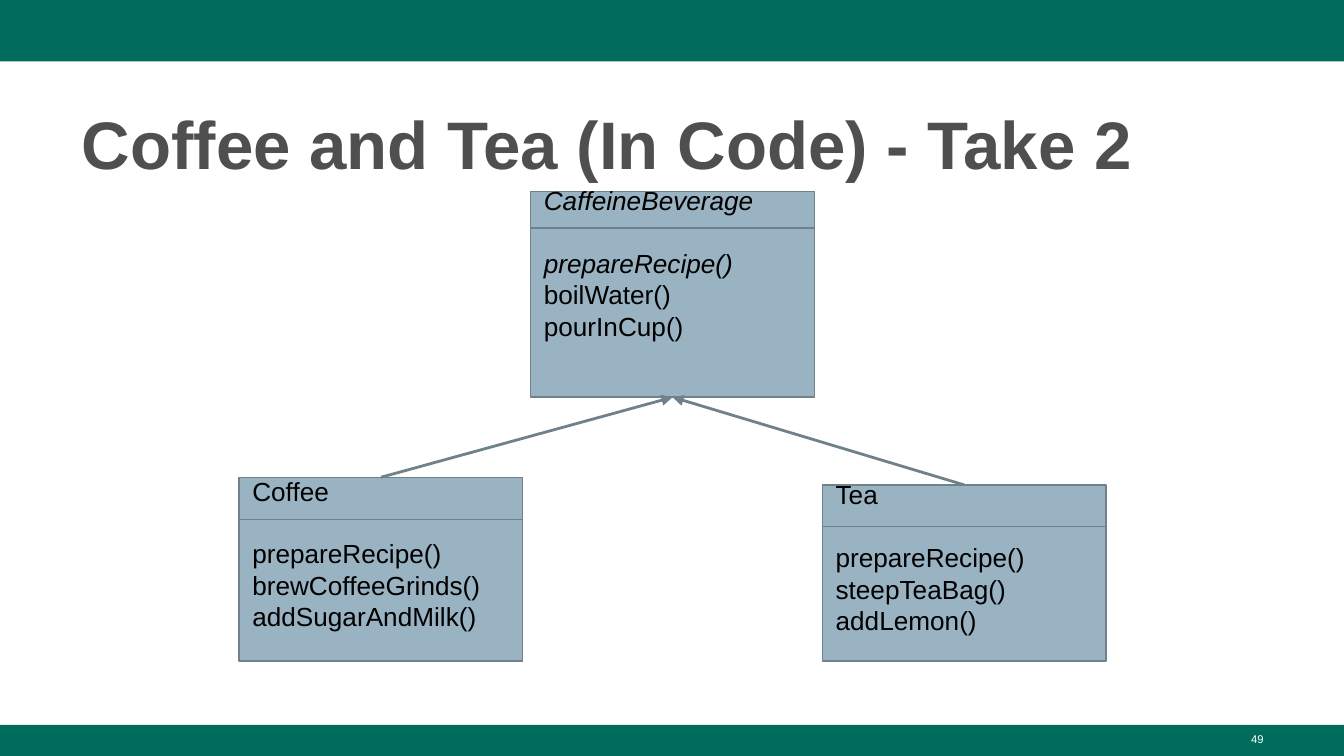
from pptx import Presentation
from pptx.util import Pt
from pptx.dml.color import RGBColor
from pptx.enum import shapes as sh, text as tx
from pptx.oxml.ns import qn
from lxml import etree

TITLE = "Coffee and Tea (In Code) - Take 2"
PAGE = "49"
GREEN, BLUE, EDGE = "006C5C", "99B3C2", "6F828C"
BARS = [(0, 33), (388.4, 16.6)]
WIDE, LINE = 152, 16.87
BASE = dict(name="CaffeineBeverage", left=284.3, top=102.6, high=110.2,
            split=19.5, tail=2, slant=2,
            calls=["prepareRecipe()", "boilWater()", "pourInCup()"])
KIDS = [
    dict(name="Coffee", left=128.1, top=255.7, high=98.4,
         split=22.5, tail=1, slant=0,
         calls=["prepareRecipe()", "brewCoffeeGrinds()", "addSugarAndMilk()"]),
    dict(name="Tea", left=440.6, top=259.8, high=94.3,
         split=22.3, tail=1, slant=0,
         calls=["prepareRecipe()", "steepTeaBag()", "addLemon()"]),
]


def hue(code):
    return RGBColor.from_string(code)


def style(para, size, color, bold=False, slant=False):
    for run in para.runs:
        font = run.font
        font.name, font.size = "Arial", Pt(size)
        font.bold, font.italic = bold, slant
        font.color.rgb = hue(color)


def rect(left, top, wide, high, fill, edge=None):
    box = slide.shapes.add_shape(sh.MSO_SHAPE.RECTANGLE,
                                 Pt(left), Pt(top), Pt(wide), Pt(high))
    box.shadow.inherit = False
    box.fill.solid()
    box.fill.fore_color.rgb = hue(fill)
    if edge:
        box.line.color.rgb = hue(edge)
        box.line.width = Pt(0.75)
    else:
        box.line.fill.background()
    return box


def rule(x1, y1, x2, y2, width, arrow=False):
    line = slide.shapes.add_connector(sh.MSO_CONNECTOR.STRAIGHT,
                                      Pt(x1), Pt(y1), Pt(x2), Pt(y2))
    line.line.color.rgb = hue(EDGE)
    line.line.width = Pt(width)
    if arrow:
        etree.SubElement(line.line._get_or_add_ln(), qn("a:tailEnd"), type="triangle")
    etree.SubElement(line._element.spPr, qn("a:effectLst"))
    return line


def draw(item):
    left, top = item["left"], item["top"]
    box = rect(left, top, WIDE, item["high"], BLUE, EDGE)
    frame = box.text_frame
    frame.word_wrap = True
    frame.vertical_anchor = tx.MSO_ANCHOR.MIDDLE
    frame.margin_left = frame.margin_right = frame.margin_top = Pt(7.2)
    frame.margin_bottom = Pt(7.2 + item["tail"] * LINE)
    frame.text = "\n".join([item["name"]] + item["calls"])
    for i, para in enumerate(frame.paragraphs):
        para.alignment = tx.PP_ALIGN.LEFT
        style(para, 14, "000000", slant=i < item["slant"])
    frame.paragraphs[1].space_before = Pt(LINE)
    split = top + item["split"]
    rule(left, split, left + WIDE, split, 0.75)
    return box


deck = Presentation()
deck.slide_width, deck.slide_height = Pt(720), Pt(405)
slide = deck.slides.add_slide(deck.slide_layouts[5])

for top, high in BARS:
    rect(0, top, 720, high, GREEN)

title = slide.shapes.title
title.left, title.top, title.width, title.height = Pt(36.7), Pt(48.2), Pt(647), Pt(52.6)
title.text_frame.text = TITLE
head = title.text_frame.paragraphs[0]
head.alignment = tx.PP_ALIGN.LEFT
head.line_spacing = 1.08
style(head, 36, "4F4F4F", bold=True)

page = slide.shapes.add_textbox(Pt(516.2), Pt(388.8), Pt(167.8), Pt(16.6))
page.text_frame.word_wrap = True
page.text_frame.text = PAGE
page.text_frame.paragraphs[0].alignment = tx.PP_ALIGN.RIGHT
style(page.text_frame.paragraphs[0], 6, "FFFFFF")

boxes = [draw(kid) for kid in KIDS]
base = draw(BASE)
for box in boxes:
    link = rule(0, 0, 0, 0, 1.5, arrow=True)
    link.begin_connect(box, 0)
    link.end_connect(base, 2)

deck.save("out.pptx")
